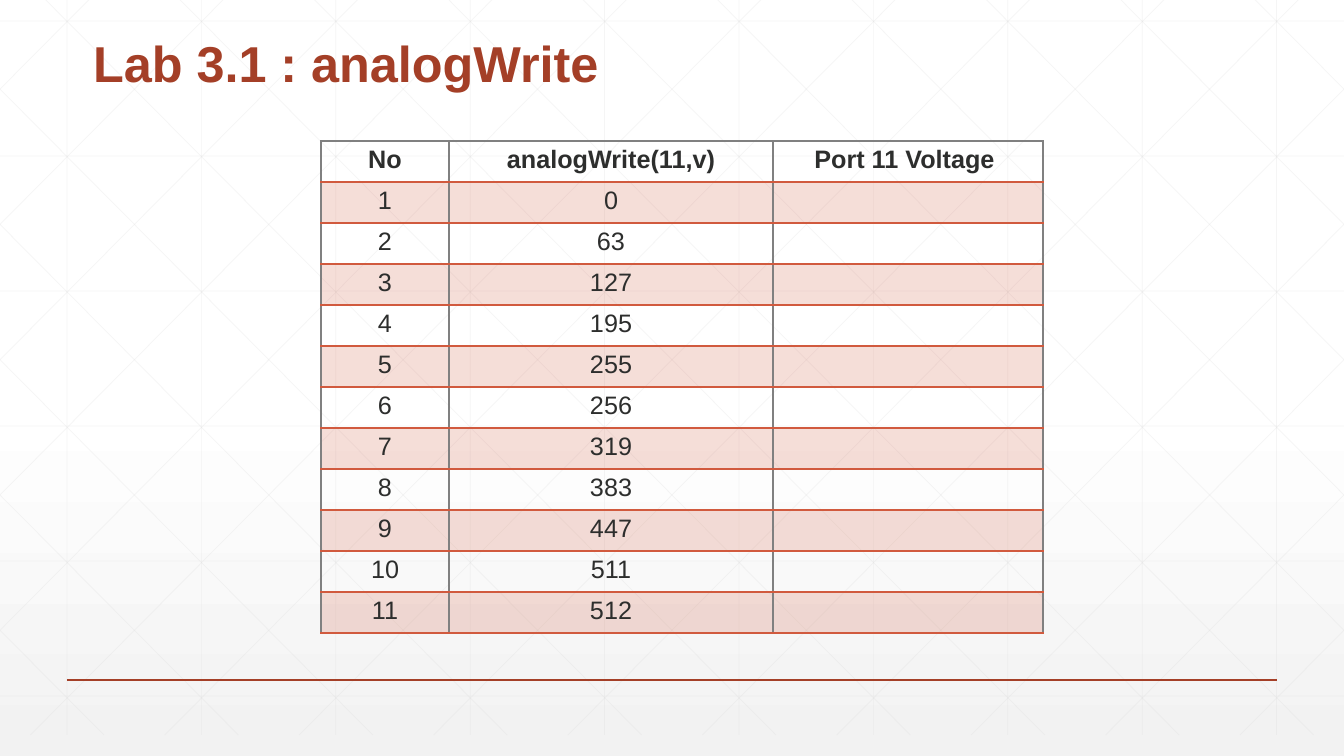
"""Builds the analogWrite lab slide: a voltage table over a faint line grid."""
from copy import deepcopy

from lxml.etree import SubElement
from pptx import Presentation
from pptx.dml.color import RGBColor
from pptx.enum.shapes import MSO_CONNECTOR
from pptx.enum.text import MSO_ANCHOR, PP_ALIGN
from pptx.oxml import parse_xml
from pptx.oxml.ns import nsdecls, qn
from pptx.util import Pt

SCALE = 914400 / 100.8
WIDE, HIGH = 1344, 756
STEP = 134.4
TOP, BASE = -21, 735
RUN = 751
RUST, CORAL, INK, GRAY = "A43F27", "D15A3E", "2D2E2D", "808080"


def px(num):
    return round(num * SCALE)


def tint(code):
    return RGBColor.from_string(code)


def write(frame, text, size=18, color=INK, bold=False, align=PP_ALIGN.CENTER, space=1.0):
    para = frame.paragraphs[0]
    para.alignment = align
    para.line_spacing = space
    run = para.add_run()
    run.text = text
    font = run.font
    font.name, font.size, font.bold = "Arial", Pt(size), bold
    font.color.rgb = tint(color)


def fade(node, part):
    SubElement(node.find(".//" + qn("a:srgbClr")), qn("a:alpha"), val=str(part * 1000))


def rule(home, ends, color, width):
    line = home.add_connector(MSO_CONNECTOR.STRAIGHT, *map(px, ends))
    line.line.color.rgb = tint(color)
    line.line.width = Pt(width)
    SubElement(line._element.spPr, qn("a:effectLst"))
    return line


deck = Presentation()
deck.slide_width, deck.slide_height = px(WIDE), px(HIGH)
slide = deck.slides.add_slide(deck.slide_layouts[5])
shapes = slide.shapes

back = slide.background.fill
back.gradient()
back.gradient_angle = 270
stops = next(slide._element.iter(qn("a:gsLst")))
stops.insert(1, deepcopy(stops[0]))
for stop, (spot, color) in zip(back.gradient_stops, [(0, "FFFFFF"), (0.53, "FFFFFF"), (1, "F2F2F2")]):
    stop.position = spot
    stop.color.rgb = tint(color)

ends = [(67 + STEP * i, TOP, 67 + STEP * i, BASE) for i in range(10)]
ends += [(0, 21 + 135 * i, WIDE, 21 + 135 * i) for i in range(6)]
slope = (BASE - TOP) / RUN
for i in range(-5, 10):
    start = 25 + STEP * i
    left, right = max(0, start), min(WIDE, start + RUN)
    high, low = (TOP + (x - start) * slope for x in (left, right))
    ends += [(left, high, right, low), (WIDE - left, high, WIDE - right, low)]
grid = shapes.add_group_shape()
for end in ends:
    fade(rule(grid.shapes, end, "D9D9D9", 0.5)._element.spPr, 25)
rule(shapes, (67, 680, 1277, 680), RUST, 1)

title = shapes.title
title.left, title.top, title.width, title.height = map(px, (83, 12, 1058, 87))
title.text_frame.vertical_anchor = MSO_ANCHOR.BOTTOM
title.text_frame.word_wrap = True
write(title.text_frame, "Lab 3.1 : analogWrite", size=36, color=RUST, bold=True,
      align=PP_ALIGN.LEFT, space=0.9)
shapes._spTree.append(title._element)

duty = [0, 63, 127, 195, 255, 256, 319, 383, 447, 511, 512]
rows = [("No", "analogWrite(11,v)", "Port 11 Voltage ")]
rows += [(str(i), str(val), "") for i, val in enumerate(duty, 1)]
table = shapes.add_table(len(rows), 3, px(321), px(141), px(722), px(492)).table
table.horz_banding = False
for col, width in zip(table.columns, (128, 324, 270)):
    col.width = px(width)
for i, row in enumerate(rows):
    table.rows[i].height = px(41)
    for j, text in enumerate(row):
        cell = table.cell(i, j)
        if text:
            write(cell.text_frame, text, bold=i == 0)
        props = cell._tc.get_or_add_tcPr()
        if i % 2:
            cell.fill.solid()
            cell.fill.fore_color.rgb = tint(CORAL)
            fade(props, 20)
        else:
            cell.fill.background()
        edges = [("L", GRAY, 1), ("R", GRAY, 1),
                 ("T", CORAL if i else GRAY, 2 if i == 1 else 1),
                 ("B", CORAL, 1 if i else 2)]
        for k, (side, color, width) in enumerate(edges):
            props.insert(k, parse_xml(
                f'<a:ln{side} {nsdecls("a")} w="{Pt(width)}"><a:solidFill>'
                f'<a:srgbClr val="{color}"/></a:solidFill></a:ln{side}>'))

deck.save("out.pptx")
